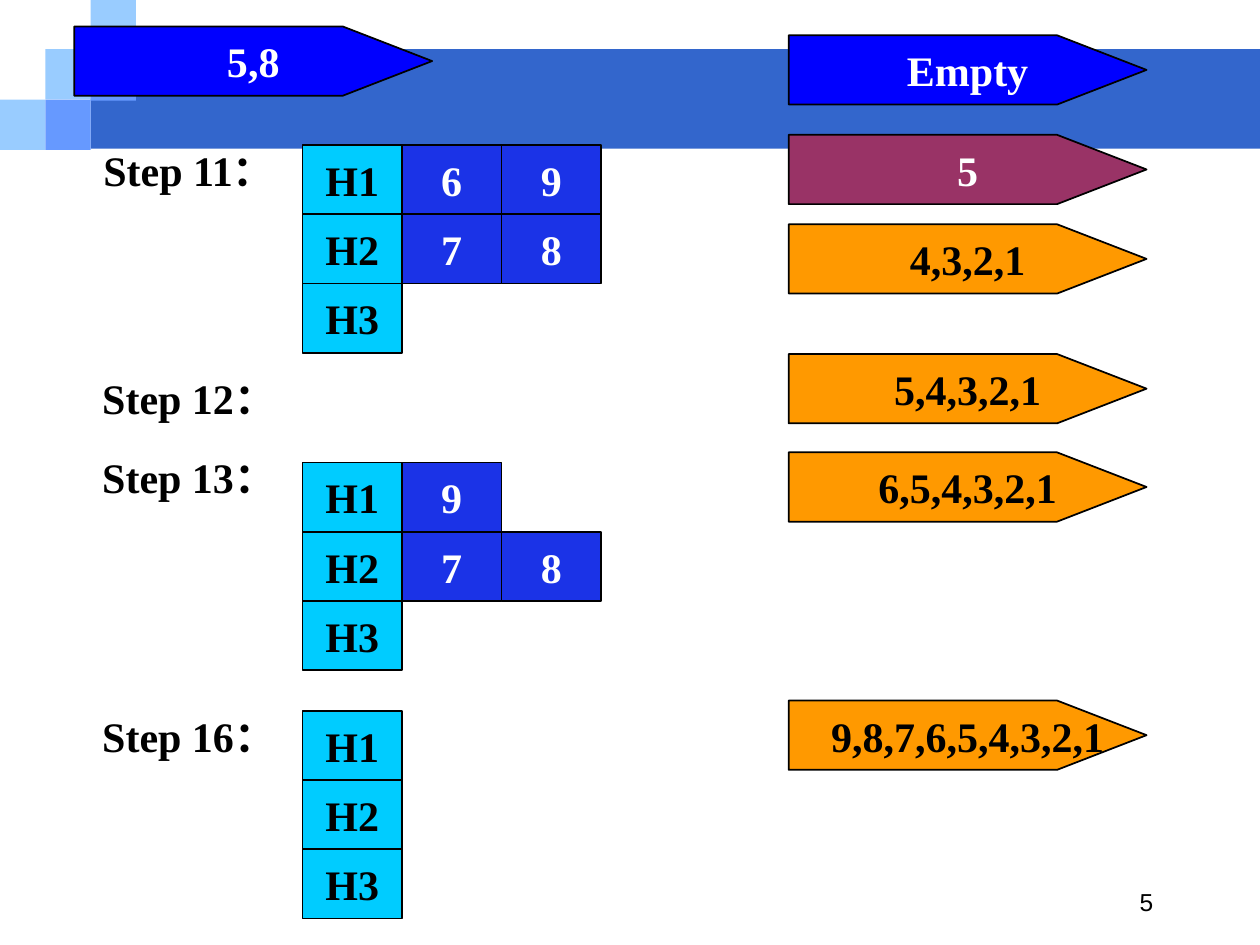
from dataclasses import dataclass

from pptx import Presentation
from pptx.dml.color import RGBColor
from pptx.enum.shapes import MSO_SHAPE
from pptx.enum.text import MSO_ANCHOR, PP_ALIGN
from pptx.util import Inches, Pt

RECT = MSO_SHAPE.RECTANGLE
MIDDLE = MSO_ANCHOR.MIDDLE
CENTER, RIGHT = PP_ALIGN.CENTER, PP_ALIGN.RIGHT

COLORS = {
    "black": "000000", "white": "FFFFFF", "band": "3366CC",
    "pale": "99CCFF", "mid": "6699FF", "cyan": "00CCFF",
    "royal": "1B33E7", "blue": "0000FF", "plum": "993366", "gold": "FF9900",
}
CELL_W, ROW_H = 0.79, 0.55
GRID_X, STEP_X, STEP_W = 2.4, 0.63, 1.66
TAG_W, TAG_BODY, TAG_X = 2.84, 2.13, 6.26
TILE = 0.36


@dataclass
class Tile:
    x: float
    y: float
    w: float
    h: float
    color: str


@dataclass
class Tag:
    x: float
    y: float
    text: str
    fill: str
    ink: str = "white"


@dataclass
class Step:
    number: int
    y: float
    grid_y: float = 0
    tracks: tuple[tuple[str, ...], ...] = ()


TILES = [
    Tile(2 * TILE, 0.39, 9.28, 0.79, "band"),
    Tile(0, 0.79, TILE, 0.4, "pale"),
    Tile(TILE, 0.39, TILE, 0.4, "pale"),
    Tile(2 * TILE, 0, TILE, 0.4, "pale"),
    Tile(2 * TILE, 0.4, TILE, 0.4, "mid"),
    Tile(TILE, 0.79, TILE, 0.4, "mid"),
]
TAGS = [
    Tag(0.59, 0.21, "5,8", "blue"),
    Tag(TAG_X, 0.28, "Empty", "blue"),
    Tag(TAG_X, 1.07, "5", "plum"),
    Tag(TAG_X, 1.78, "4,3,2,1", "gold", "black"),
    Tag(TAG_X, 2.81, "5,4,3,2,1", "gold", "black"),
    Tag(TAG_X, 3.59, "6,5,4,3,2,1", "gold", "black"),
    Tag(TAG_X, 5.56, "9,8,7,6,5,4,3,2,1", "gold", "black"),
]
STEPS = [
    Step(11, 1.07, 1.15, (("6", "9"), ("7", "8"), ())),
    Step(12, 2.88),
    Step(13, 3.51, 3.67, (("9",), ("7", "8"), ())),
    Step(16, 5.56, 5.64, ((), (), ())),
]


def rgb(name: str) -> RGBColor:
    return RGBColor.from_string(COLORS[name])


def paint(shape, fill: str, line: str | None = None) -> None:
    shape.shadow.inherit = False
    shape.fill.solid()
    shape.fill.fore_color.rgb = rgb(fill)
    if line:
        shape.line.color.rgb = rgb(line)
        shape.line.width = Pt(1)
    else:
        shape.line.fill.background()


def write(shape, text: str, ink: str = "black", size: int = 24,
          face: str = "Times New Roman", bold: bool = True,
          align=CENTER, wrap: bool = False) -> None:
    frame = shape.text_frame
    frame.word_wrap = wrap
    frame.vertical_anchor = MIDDLE
    para = frame.paragraphs[0]
    para.alignment = align
    run = para.add_run()
    run.text = text
    run.font.name = face
    run.font.size = Pt(size)
    run.font.bold = bold
    run.font.color.rgb = rgb(ink)


def draw_tile(shapes, tile: Tile) -> None:
    box = shapes.add_shape(RECT, Inches(tile.x), Inches(tile.y),
                           Inches(tile.w), Inches(tile.h))
    paint(box, tile.color)


def draw_tag(shapes, tag: Tag) -> None:
    """Draw a pointed tag whose text is centred on its full width."""
    neck, tip = tag.x + TAG_BODY, tag.x + TAG_W
    base = tag.y + ROW_H
    pen = shapes.build_freeform(Inches(tag.x), Inches(tag.y))
    points = [(neck, tag.y), (tip, tag.y + ROW_H / 2),
              (neck, base), (tag.x, base)]
    pen.add_line_segments([(Inches(x), Inches(y)) for x, y in points])
    shape = pen.convert_to_shape()
    paint(shape, tag.fill, "black")
    write(shape, tag.text, tag.ink)


def draw_cell(shapes, col: int, y: float, text: str) -> None:
    fill, ink = ("royal", "white") if col else ("cyan", "black")
    cell = shapes.add_shape(RECT, Inches(GRID_X + col * CELL_W), Inches(y),
                            Inches(CELL_W), Inches(ROW_H))
    paint(cell, fill, "black")
    write(cell, text, ink)


def draw_step(shapes, step: Step) -> None:
    """Draw a step's label, grouped with its tracks if it has any."""
    if step.tracks:
        shapes = shapes.add_group_shape().shapes
    label = shapes.add_textbox(Inches(STEP_X), Inches(step.y),
                               Inches(STEP_W), Inches(ROW_H))
    label.text_frame.margin_left = label.text_frame.margin_right = 0
    write(label, f" Step {step.number}：", wrap=True)
    for row, cars in enumerate(step.tracks):
        for col, text in enumerate((f"H{row + 1}", *cars)):
            draw_cell(shapes, col, step.grid_y + row * ROW_H, text)


def main() -> None:
    deck = Presentation()
    deck.slide_width, deck.slide_height = Inches(10), Inches(7.5)
    shapes = deck.slides.add_slide(deck.slide_layouts[6]).shapes
    for tile in TILES:
        draw_tile(shapes, tile)
    page = shapes.add_textbox(Inches(7.17), Inches(6.91),
                              Inches(2.08), Inches(0.5))
    write(page, "5", size=14, face="Arial", bold=False,
          align=RIGHT, wrap=True)
    for tag in TAGS:
        draw_tag(shapes, tag)
    for step in STEPS:
        draw_step(shapes, step)
    deck.save("out.pptx")


if __name__ == "__main__":
    main()
